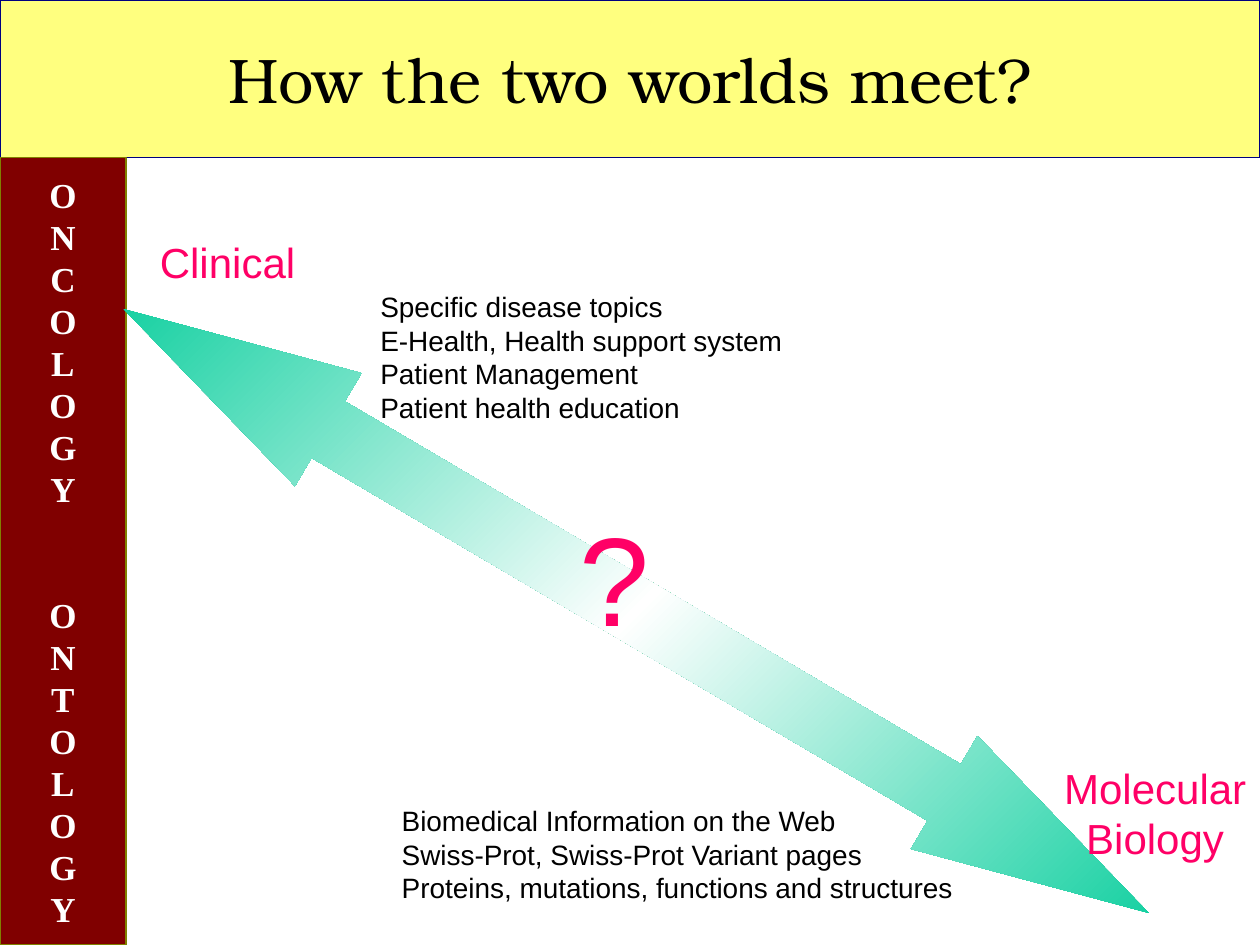
from lxml.etree import SubElement
from pptx import Presentation
from pptx.dml.color import RGBColor
from pptx.enum.shapes import MSO_SHAPE
from pptx.enum.text import MSO_ANCHOR, MSO_AUTO_SIZE, PP_ALIGN
from pptx.oxml import parse_xml
from pptx.oxml.ns import nsdecls, qn
from pptx.util import Inches, Pt

YELLOW = RGBColor(0xFF, 0xFF, 0x00)
NAVY = RGBColor(0x00, 0x00, 0x80)
MAROON = RGBColor(0x80, 0x00, 0x00)
OLIVE = RGBColor(0x80, 0x80, 0x00)
GREEN = RGBColor(0x00, 0xCC, 0x99)
PINK = RGBColor(0xFF, 0x00, 0x66)
WHITE = RGBColor(0xFF, 0xFF, 0xFF)
BLACK = RGBColor(0x00, 0x00, 0x00)

WIDTH, HEIGHT = Inches(10), Inches(7.5)
LINE_PITCH = 1.2  # line height as a multiple of the text size


def place(x, y, w, h):
    """Turn percentages of the slide's size into lengths."""
    return [round(share * side / 100)
            for share, side in zip((x, y, w, h), (WIDTH, HEIGHT) * 2)]


def write(sp, lines, size, color, font="Arial", align=PP_ALIGN.LEFT, bold=False):
    """Fill a shape with one paragraph per line, all in one format."""
    tf = sp.text_frame
    tf.text = "\n".join(lines)
    for p in tf.paragraphs:
        p.alignment = align
        p.line_spacing = Pt(size * LINE_PITCH)
        f = p.runs[0].font
        f.name, f.size, f.bold = font, Pt(size), bold
        f.color.rgb = color
    return tf


def add_panel(s, box, fill, line):
    sp = s.shapes.add_shape(MSO_SHAPE.RECTANGLE, *place(*box))
    sp.shadow.inherit = False
    sp.fill.solid()
    sp.fill.fore_color.rgb = fill
    sp.line.color.rgb = line
    sp.line.width = Pt(0.75)
    sp.text_frame.vertical_anchor = MSO_ANCHOR.MIDDLE
    return sp


def add_label(s, box, lines, size, color, align=PP_ALIGN.LEFT):
    sp = s.shapes.add_textbox(*place(*box))
    tf = write(sp, lines, size, color, align=align)
    tf.word_wrap = False
    tf.auto_size = MSO_AUTO_SIZE.SHAPE_TO_FIT_TEXT


def add_double_arrow(s, box, rotation, shaft, head):
    """Shaft width and head length are shares of the arrow's width."""
    sp = s.shapes.add_shape(MSO_SHAPE.UP_DOWN_ARROW, *place(*box))
    sp.shadow.inherit = False
    sp.rotation = rotation
    sp.line.fill.background()
    geom = sp.element.spPr.find(qn("a:prstGeom"))
    guides = geom.find(qn("a:avLst"))
    guides.clear()
    for name, share in (("adj1", shaft), ("adj2", head)):
        SubElement(guides, qn("a:gd"), name=name,
                   fmla=f"val {round(share * 100000)}")
    # Green at both tips, white in the middle
    stops = "".join(
        f'<a:gs pos="{pos * 1000}"><a:srgbClr val="{color}"/></a:gs>'
        for pos, color in ((0, GREEN), (50, WHITE), (100, GREEN)))
    geom.addnext(parse_xml(
        f'<a:gradFill {nsdecls("a")} rotWithShape="0"><a:gsLst>{stops}</a:gsLst>'
        f'<a:lin ang="{225 * 60000}" scaled="0"/></a:gradFill>'))


def main():
    prs = Presentation()
    prs.slide_width, prs.slide_height = WIDTH, HEIGHT
    s = prs.slides.add_slide(prs.slide_layouts[6])

    # Title band, half transparent
    title = add_panel(s, (0, 0, 100, 16.67), YELLOW, NAVY)
    rgb = title.element.spPr.find(qn("a:solidFill")).find(qn("a:srgbClr"))
    SubElement(rgb, qn("a:alpha"), val="50000")
    write(title, ["How the two worlds meet?"], 36, BLACK,
          "TeX Gyre Bonum", PP_ALIGN.CENTER)

    # Sidebar: two words spelled downwards, two lines apart
    first, second = "ONCOLOGY", "ONTOLOGY"
    sidebar = add_panel(s, (0, 16.67, 10, 83.33), MAROON, OLIVE)
    tf = write(sidebar, first + second, 20, WHITE,
               "Times New Roman", PP_ALIGN.CENTER, bold=True)
    tf.word_wrap = False
    tf.paragraphs[len(first)].space_before = Pt(2 * 20 * LINE_PITCH)

    # Arrow between the two worlds
    add_double_arrow(s, (45.3, 1.73, 10.4, 125.87), 300.5, shaft=0.5, head=1.81)

    # Names of the worlds
    add_label(s, (11.7, 24.4, 13.5, 6.67), ["Clinical"], 24, PINK)
    add_label(s, (83.35, 80, 16.65, 12), ["Molecular", "Biology"], 24, PINK,
              PP_ALIGN.CENTER)

    # What each world covers
    add_label(s, (29.2, 30, 35, 15.6), [
        "Specific disease topics",
        "E-Health, Health support system",
        "Patient Management",
        "Patient health education",
    ], 16, BLACK)
    add_label(s, (30.9, 84.4, 48, 12), [
        "Biomedical Information on the Web",
        "Swiss-Prot, Swiss-Prot Variant pages",
        "Proteins, mutations, functions and structures",
    ], 16, BLACK)

    # Open question in the middle
    add_label(s, (45, 52.27, 8, 17.33), ["?"], 72, PINK)

    prs.save("out.pptx")


if __name__ == "__main__":
    main()
